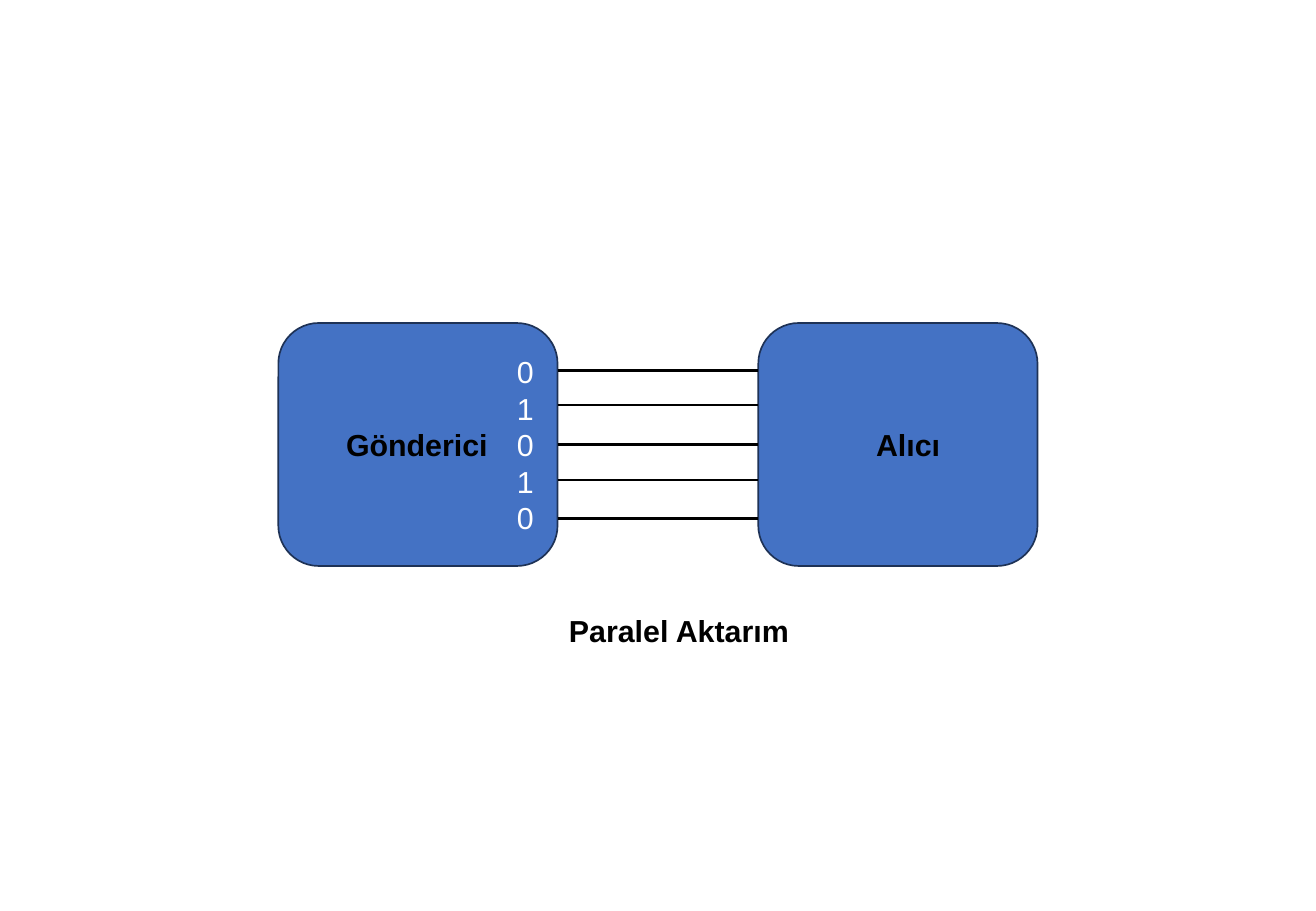
from pptx import Presentation
from pptx.dml.color import RGBColor as RGB
from pptx.enum.shapes import MSO_CONNECTOR as CONN, MSO_SHAPE as SHAPE
from pptx.enum.text import MSO_ANCHOR as ANCHOR, MSO_AUTO_SIZE as FIT, PP_ALIGN as ALIGN
from pptx.oxml.ns import qn
from pptx.util import Pt
from lxml import etree

THEME = {
    "box": RGB(0x44, 0x72, 0xC4),
    "edge": RGB(0x1E, 0x32, 0x56),
    "wire": RGB(0, 0, 0),
    "bit": {"name": "Arial", "size": Pt(18), "bold": False, "color": RGB(255, 255, 255)},
    "label": {"name": "Arial", "size": Pt(18), "bold": True, "color": RGB(0, 0, 0)},
}


def write(sp, lines, style, align, anchor, fit):
    tf = sp.text_frame
    for key, value in {"word_wrap": True, "vertical_anchor": anchor, "auto_size": fit}.items():
        setattr(tf, key, value)
    for i, line in enumerate(lines):
        p = tf.paragraphs[0] if i == 0 else tf.add_paragraph()
        p.alignment = align
        r = p.add_run()
        r.text = line
        for key in ("name", "size", "bold"):
            setattr(r.font, key, style[key])
        r.font.color.rgb = style["color"]


prs = Presentation()
prs.slide_width, prs.slide_height = Pt(780), Pt(540)
s = prs.slides.add_slide(prs.slide_layouts[5])

boxes = []
for left in (165, 449.5):
    sp = s.shapes.add_shape(SHAPE.ROUNDED_RECTANGLE, Pt(left), Pt(191.5), Pt(165.5), Pt(144))
    sp.shadow.inherit = False
    sp.fill.solid()
    sp.fill.fore_color.rgb = THEME["box"]
    sp.line.color.rgb = THEME["edge"]
    sp.line.width = Pt(1)
    boxes.append(sp)
sender, receiver = boxes
write(sender, "01010", THEME["bit"], ALIGN.RIGHT, ANCHOR.MIDDLE, FIT.NONE)

wires = []
for y in (219.5, 240, 263.5, 284.5, 307.5):
    wire = s.shapes.add_connector(CONN.STRAIGHT, Pt(330.5), Pt(y), Pt(449.5), Pt(y))
    wire.line.color.rgb = THEME["wire"]
    wire.line.width = Pt(1.5)
    etree.SubElement(wire._element.spPr, qn("a:effectLst"))
    wires.append(wire)
wires[2].begin_connect(sender, 3)
wires[2].end_connect(receiver, 1)

for text, left, align in (("Gönderici", 198, ALIGN.LEFT), ("Alıcı", 489, ALIGN.CENTER)):
    sp = s.shapes.add_textbox(Pt(left), Pt(249), Pt(98.5), Pt(29))
    write(sp, [text], THEME["label"], align, ANCHOR.TOP, FIT.SHAPE_TO_FIT_TEXT)

title = s.shapes.title
for key, value in {"left": 330, "top": 359.5, "width": 186.5, "height": 29}.items():
    setattr(title, key, Pt(value))
write(title, ["Paralel Aktarım"], THEME["label"], ALIGN.LEFT, ANCHOR.TOP, FIT.SHAPE_TO_FIT_TEXT)

prs.save("out.pptx")
